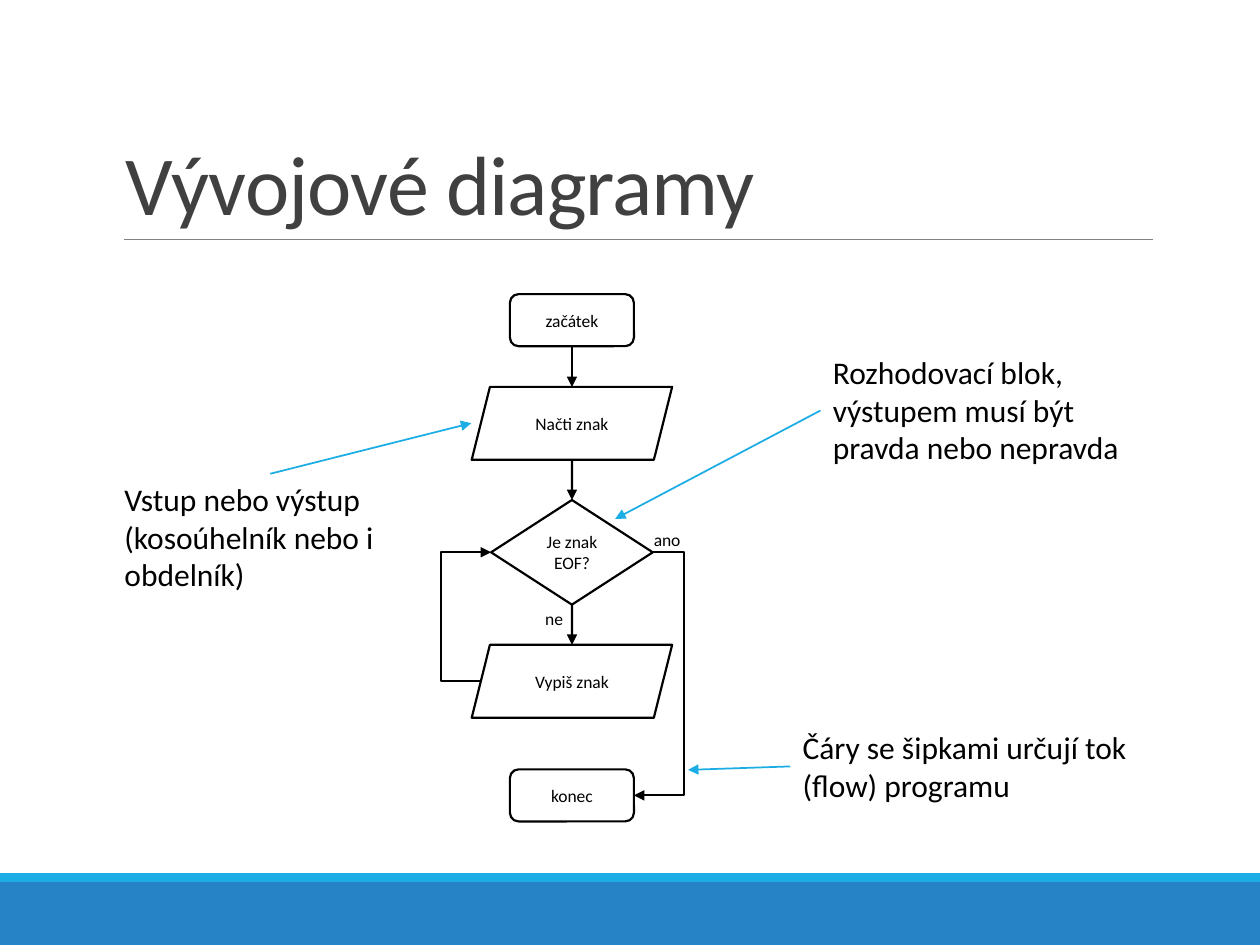
from typing import NamedTuple, Optional

from lxml.etree import SubElement as Sub
from pptx import Presentation
from pptx.dml.color import RGBColor as Rgb
from pptx.enum.shapes import MSO_CONNECTOR as Link, MSO_SHAPE as Kind
from pptx.enum.text import MSO_ANCHOR as Anchor, PP_ALIGN as Align
from pptx.oxml.ns import qn
from pptx.util import Cm, Pt

BLACK, WHITE, SKY, BLUE = "000000", "FFFFFF", "1CADE4", "2683C6"
TOP, LEFT, BOTTOM = 0, 1, 2
MID = 11.53  # axis of the flow chart


class Box(NamedTuple):
    text: str
    kind: Kind
    top: float
    width: float
    height: float

    @property
    def left(self) -> float:
        return MID - self.width / 2

    @property
    def right(self) -> float:
        return MID + self.width / 2

    @property
    def bottom(self) -> float:
        return self.top + self.height

    @property
    def centre(self) -> float:
        return self.top + self.height / 2


class Note(NamedTuple):
    text: str
    left: float
    top: float
    width: float
    height: float
    size: int = 18
    side: Optional[int] = None
    aim: tuple = ()


START = Box("začátek", Kind.ROUNDED_RECTANGLE, 5.93, 2.5, 1.05)
READ = Box("Načti znak", Kind.PARALLELOGRAM, 7.8, 4.04, 1.47)
TEST = Box("Je znak EOF?", Kind.DIAMOND, 10.08, 3.26, 2.11)
WRITE = Box("Vypiš znak", Kind.PARALLELOGRAM, 13, 4.04, 1.47)
END = Box("konec", Kind.ROUNDED_RECTANGLE, 15.51, 2.5, 1.05)

NOTES = [
    Note("ne", 10.74, 12.14, 1.7, 0.68, 10),
    Note("ano", 12.93, 10.54, 1.22, 0.68, 10),
    Note("Vstup nebo výstup (kosoúhelník nebo i obdelník)",
         2.26, 9.55, 6.38, 2.57, side=TOP, aim=(9.5, 8.53)),
    Note("Rozhodovací blok, výstupem musí být pravda nebo nepravda",
         16.54, 6.99, 7.06, 2.57, side=LEFT, aim=(12.4, 10.46)),
    Note("Čáry se šipkami určují tok (flow) programu",
         15.93, 14.55, 7.06, 1.8, side=LEFT, aim=(13.87, 15.52)),
]


def tint(code: str) -> Rgb:
    return Rgb.from_string(code)


def write(shape, text: str, size: int, color: str = BLACK,
          align=Align.LEFT, anchor=Anchor.TOP):
    frame = shape.text_frame
    frame.word_wrap = True
    frame.vertical_anchor = anchor
    para = frame.paragraphs[0]
    para.alignment = align
    run = para.add_run()
    run.text = text
    for key, value in {"name": "Calibri", "size": Pt(size)}.items():
        setattr(run.font, key, value)
    run.font.color.rgb = tint(color)
    return para


def form(slide, kind: Kind, left: float, top: float, width: float,
         height: float, fill: str, line: Optional[str] = None):
    shape = slide.shapes.add_shape(
        kind, Cm(left), Cm(top), Cm(width), Cm(height))
    shape.shadow.inherit = False
    shape.fill.solid()
    shape.fill.fore_color.rgb = tint(fill)
    if line:
        shape.line.color.rgb = tint(line)
        shape.line.width = Pt(1.25)
    else:
        shape.line.fill.background()
    return shape


def step(slide, box: Box):
    shape = form(slide, box.kind, box.left, box.top, box.width, box.height,
                 WHITE, BLACK)
    write(shape, box.text, 10, align=Align.CENTER, anchor=Anchor.MIDDLE)
    return shape


def label(slide, note: Note):
    shape = slide.shapes.add_textbox(
        Cm(note.left), Cm(note.top), Cm(note.width), Cm(note.height))
    write(shape, note.text, note.size)
    return shape


def wire(slide, start: tuple, end: tuple, color: str = BLACK,
         width: float = 1.25, head: bool = True, via: Optional[float] = None):
    """Draw a line; via is the x of the upright part of a bent one."""
    kind = Link.STRAIGHT if via is None else Link.ELBOW
    line = slide.shapes.add_connector(
        kind, *(Cm(n) for n in (*start, *end)))
    line.line.color.rgb = tint(color)
    line.line.width = Pt(width)
    props = line._element.spPr
    if via is not None:
        ratio = (via - start[0]) / (end[0] - start[0])
        geom = props.find(qn("a:prstGeom"))
        Sub(geom.get_or_add_avLst(), qn("a:gd"), name="adj1",
            fmla=f"val {round(ratio * 100000)}")
    if head:
        Sub(line.line._get_or_add_ln(), qn("a:tailEnd"), type="triangle")
    Sub(props, qn("a:effectLst"))
    return line


def main():
    deck = Presentation()
    deck.slide_width, deck.slide_height = Cm(25.4), Cm(19.05)
    slide = deck.slides.add_slide(deck.slide_layouts[6])

    form(slide, Kind.RECTANGLE, 0, 17.78, 25.4, 1.27, BLUE)
    form(slide, Kind.RECTANGLE, 0, 17.6, 25.4, 0.18, SKY)
    wire(slide, (2.49, 4.83), (23.24, 4.83), "808080", 0.5, head=False)

    title = slide.shapes.add_textbox(Cm(2.29), Cm(0.79), Cm(20.95), Cm(4.03))
    para = write(title, "Vývojové diagramy", 48, "404040",
                 anchor=Anchor.BOTTOM)
    para.line_spacing = 0.85
    para.runs[0].font._element.set("spc", "-50")

    first, _, test, _, _ = [
        step(slide, box) for box in (START, READ, TEST, WRITE, END)]

    down = [wire(slide, (MID, a.bottom), (MID, b.top))
            for a, b in ((START, READ), (READ, TEST), (TEST, WRITE))]
    down[0].begin_connect(first, BOTTOM)
    down[1].end_connect(test, TOP)
    down[2].begin_connect(test, BOTTOM)

    wire(slide, (TEST.right, TEST.centre), (END.right, END.centre), via=13.79)
    wire(slide, (9.7, WRITE.centre), (TEST.left, TEST.centre), via=8.89)

    for note in NOTES:
        shape = label(slide, note)
        if note.aim:
            arrow = wire(slide, (note.left, note.top), note.aim, SKY, 1)
            arrow.begin_connect(shape, note.side)

    deck.save("out.pptx")


if __name__ == "__main__":
    main()
